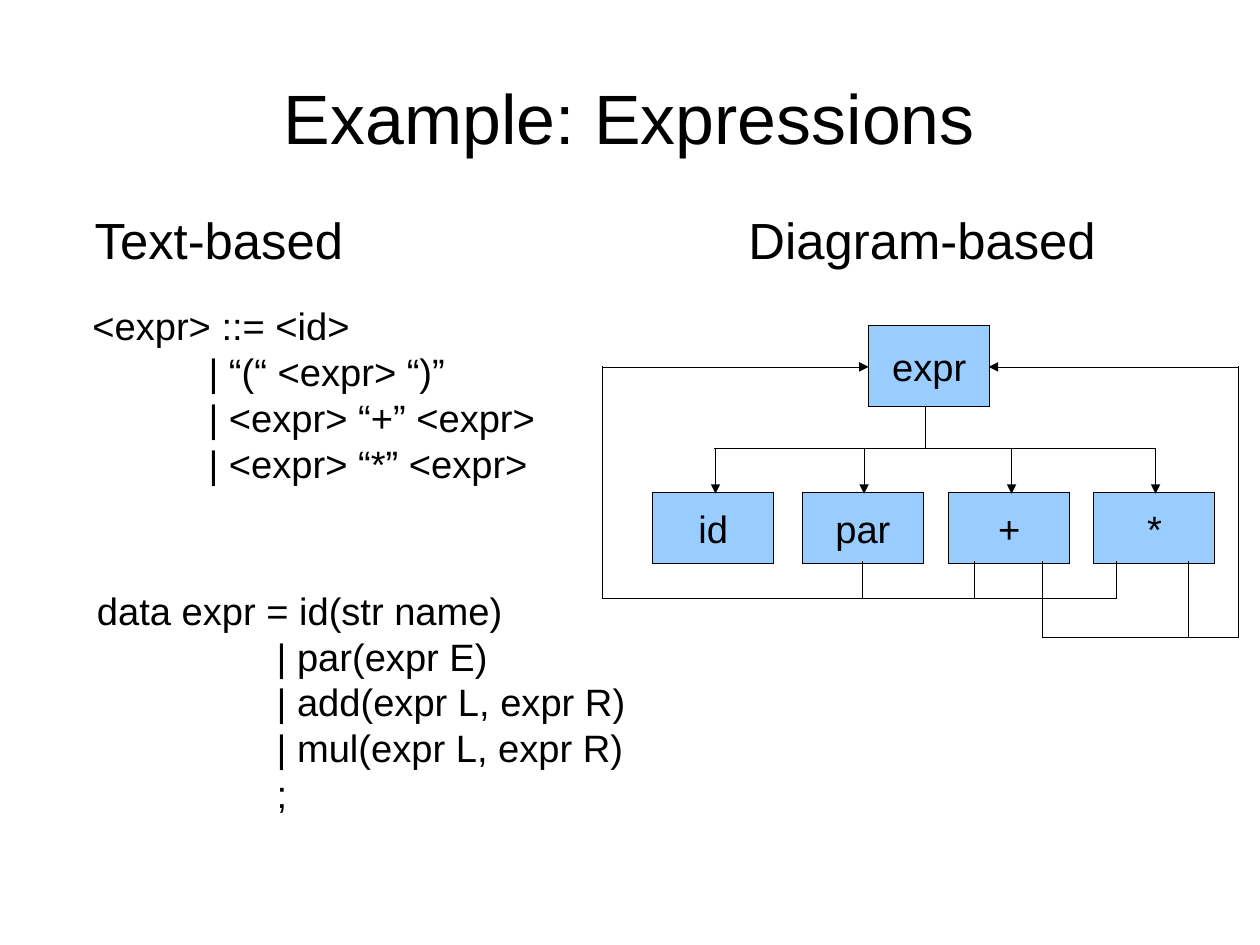
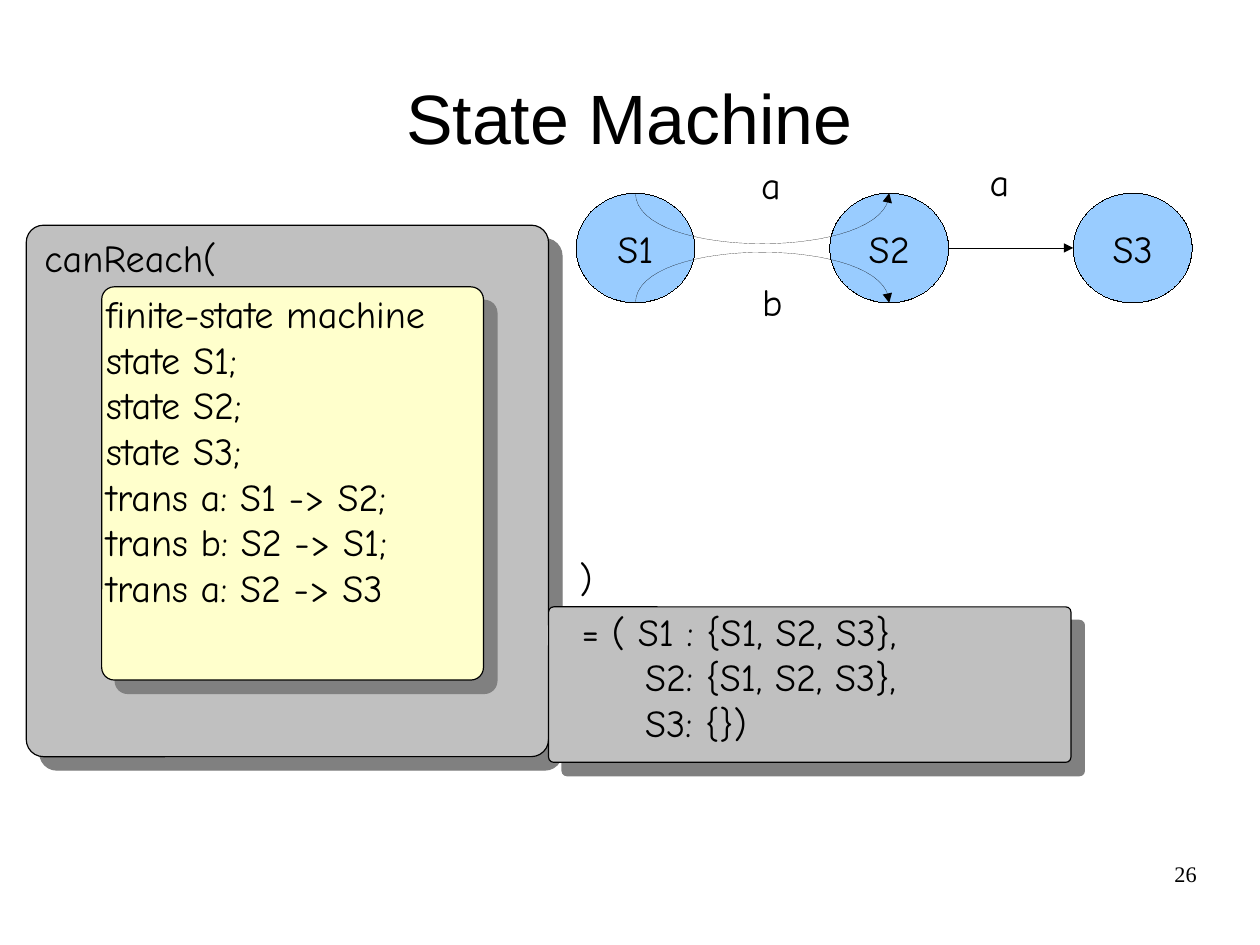
from lxml import etree
from pptx import Presentation
from pptx.dml.color import RGBColor
from pptx.enum.shapes import MSO_CONNECTOR, MSO_SHAPE
from pptx.enum.text import MSO_ANCHOR, PP_ALIGN
from pptx.oxml.ns import qn
from pptx.util import Cm, Inches, Pt

STRAIGHT = MSO_CONNECTOR.STRAIGHT
RECTANGLE, OVAL = MSO_SHAPE.RECTANGLE, MSO_SHAPE.OVAL
ROUNDED = MSO_SHAPE.ROUNDED_RECTANGLE
TOP, MIDDLE = MSO_ANCHOR.TOP, MSO_ANCHOR.MIDDLE
LEFT, CENTER, RIGHT = PP_ALIGN.LEFT, PP_ALIGN.CENTER, PP_ALIGN.RIGHT

COLORS = {"ink": "000000", "node": "99CCFF", "gray": "C0C0C0",
          "yellow": "FFFFCC", "shadow": "808080"}
SANS, COMIC, SERIF = "Arial", "Comic Neue", "Times New Roman"
INK = RGBColor.from_string(COLORS["ink"])
TITLE_BOX = (0.55, 0.33, 9.92, 1.38)
CURVE_STEPS = 32


def write_text(shape, lines, font, size, alignment=LEFT, anchor=TOP, margins=(0.1, 0.05)):
    frame = shape.text_frame
    frame.word_wrap = True
    frame.vertical_anchor = anchor
    frame.margin_left = frame.margin_right = Inches(margins[0])
    frame.margin_top = frame.margin_bottom = Inches(margins[1])
    frame.text = "\n".join(lines)
    for paragraph in frame.paragraphs:
        paragraph.alignment = alignment
        if len(lines) > 1:
            paragraph.line_spacing = Pt(size * 1.2)
        paragraph.font.name = font
        paragraph.font.size = Pt(size)
        paragraph.font.color.rgb = INK


def draw_outline(shape, width=0, arrow=False):
    """Give a shape or connector a plain black line, free of theme style and shadow."""
    element = shape._element
    element.remove(element.find(qn("p:style")))
    shape.line.color.rgb = INK
    shape.line.width = Pt(width)
    if arrow:
        line = element.spPr.find(qn("a:ln"))
        etree.SubElement(line, qn("a:tailEnd"), type="triangle")
    return etree.SubElement(element.spPr, qn("a:effectLst"))


# Expression diagram: the bus under "expr" feeds four alternatives, two loops lead back
node_top, bus_y = 4.31, 3.92
alternatives = {"id": 5.71, "par": 7.02, "+": 8.3, "*": 9.57}
left_x, left_y, right_x, right_y, entry_y = 5.27, 5.24, 10.84, 5.58, 3.21
expression_lines = [
    ((8.1, 3.56), (8.1, bus_y), False),
    ((6.25, bus_y), (10.1, bus_y), False),
    ((9.77, left_y), (left_x, left_y), False),
    ((left_x, left_y), (left_x, entry_y), False),
    ((left_x, entry_y), (7.6, entry_y), True),
    ((9.12, right_y), (right_x, right_y), False),
    ((right_x, right_y), (right_x, entry_y), False),
    ((right_x, entry_y), (8.65, entry_y), True),
]
for x in (6.26, 7.56, 8.85, 10.11):
    expression_lines.append(((x, bus_y), (x, node_top + 0.01), True))
for x, bottom in ((7.55, left_y), (8.53, left_y), (9.77, left_y),
                  (9.12, right_y), (10.4, right_y)):
    expression_lines.append(((x, node_top + 0.6), (x, bottom), False))

state_top, state_width, state_height = 1.69, 1.04, 0.96
states = {"S1": 5.04, "S2": 7.26, "S3": 9.39}
state_middle = state_top + state_height / 2
s1_center, s2_center = states["S1"] + state_width / 2, states["S2"] + state_width / 2

slide_contents = [
    {
        "title": "Example: Expressions",
        "panels": [],
        "node_style": (RECTANGLE, SANS),
        "nodes": [("expr", (7.6, 2.85, 1.06, 0.71))]
        + [(name, (x, node_top, 1.06, 0.62)) for name, x in alternatives.items()],
        "lines": expression_lines,
        "curves": [],
        "texts": [
            ((0.73, 1.78, 2.6, 0.7), SANS, 32, ["Text-based"]),
            ((6.45, 1.78, 3.4, 0.7), SANS, 32, ["Diagram-based"]),
            ((0.71, 2.6, 4.2, 2.83), SANS, 24, [
                "<expr> ::= <id>",
                "           | “(“ <expr> “)”",
                "           | <expr> “+” <expr>",
                "           | <expr> “*” <expr>"]),
            ((0.75, 5.09, 5.89, 2.2), SANS, 24, [
                "data expr = id(str name)",
                "                 | par(expr E)",
                "                 | add(expr L, expr R)",
                "                 | mul(expr L, expr R)",
                "                 ;"]),
        ],
    },
    {
        "title": "State Machine",
        "panels": [((0.23, 1.97, 4.57, 4.65), "gray"),
                   ((0.89, 2.51, 3.34, 3.44), "yellow"),
                   ((4.8, 5.31, 4.57, 1.36), "gray")],
        "node_style": (OVAL, COMIC),
        "nodes": [(name, (x, state_top, state_width, state_height))
                  for name, x in states.items()],
        "lines": [((states["S2"] + state_width, state_middle),
                   (states["S3"], state_middle), True)],
        "curves": [(s1_center, s2_center, state_top, 0.59),
                   (s1_center, s2_center, state_top + state_height, -0.59)],
        "texts": [
            ((0.29, 2, 3, 0.5), COMIC, 24, ["canReach("]),
            ((4.97, 4.8, 0.5, 0.5), COMIC, 24, [")"]),
            ((0.83, 2.49, 3.55, 3.47), COMIC, 24, [
                "finite-state machine",
                "state S1;",
                "state S2;",
                "state S3;",
                "trans a: S1 -> S2;",
                "trans b: S2 -> S1;",
                "trans a: S2 -> S3"]),
            ((4.99, 5.27, 3.6, 1.49), COMIC, 24, [
                "= ( S1 : {S1, S2, S3},",
                "     S2: {S1, S2, S3},",
                "     S3: {})"]),
            ((6.56, 1.36, 0.42, 0.5), COMIC, 24, ["a"]),
            ((6.57, 2.39, 0.42, 0.5), COMIC, 24, ["b"]),
            ((8.56, 1.34, 0.42, 0.5), COMIC, 24, ["a"]),
        ],
        "number": "26",
    },
]

presentation = Presentation()
presentation.slide_width = Cm(28)
presentation.slide_height = Cm(21)
title_only = presentation.slide_layouts[5]

for content in slide_contents:
    slide = presentation.slides.add_slide(title_only)
    shapes = slide.shapes
    title = shapes.title
    title.left, title.top, title.width, title.height = map(Inches, TITLE_BOX)
    write_text(title, [content["title"]], SANS, 44, CENTER, MIDDLE, (0, 0))

    for box, color in content["panels"]:
        panel = shapes.add_shape(ROUNDED, *map(Inches, box))
        panel.adjustments[0] = 0.033
        panel.fill.solid()
        panel.fill.fore_color.rgb = RGBColor.from_string(COLORS[color])
        effects = draw_outline(panel, 0.75)
        shadow = etree.SubElement(effects, qn("a:outerShdw"), blurRad="0",
                                  dist=str(Pt(12)), dir=str(45 * 60000),
                                  algn="tl", rotWithShape="0")
        etree.SubElement(shadow, qn("a:srgbClr"), val=COLORS["shadow"])

    node_shape, node_font = content["node_style"]
    for name, box in content["nodes"]:
        node = shapes.add_shape(node_shape, *map(Inches, box))
        node.fill.solid()
        node.fill.fore_color.rgb = RGBColor.from_string(COLORS["node"])
        draw_outline(node)
        write_text(node, [name], node_font, 24, CENTER, MIDDLE)

    for start, end, arrow in content["lines"]:
        connector = shapes.add_connector(STRAIGHT, *map(Inches, start + end))
        draw_outline(connector, arrow=arrow)

    for start_x, end_x, y, sag in content["curves"]:
        points = []
        for step in range(CURVE_STEPS + 1):
            t = step / CURVE_STEPS
            points.append((Inches(start_x + (end_x - start_x) * t * t * (3 - 2 * t)),
                           Inches(y + 3 * sag * t * (1 - t))))
        builder = shapes.build_freeform(*points[0])
        builder.add_line_segments(points[1:], close=False)
        curve = builder.convert_to_shape()
        curve.fill.background()
        draw_outline(curve, arrow=True)

    for box, font, size, lines in content["texts"]:
        write_text(shapes.add_textbox(*map(Inches, box)), lines, font, size)

    if "number" in content:
        number_box = shapes.add_textbox(*map(Inches, (7.9, 7.53, 2.57, 0.57)))
        write_text(number_box, [content["number"]], SERIF, 14, RIGHT, margins=(0, 0))

presentation.save("out.pptx")
